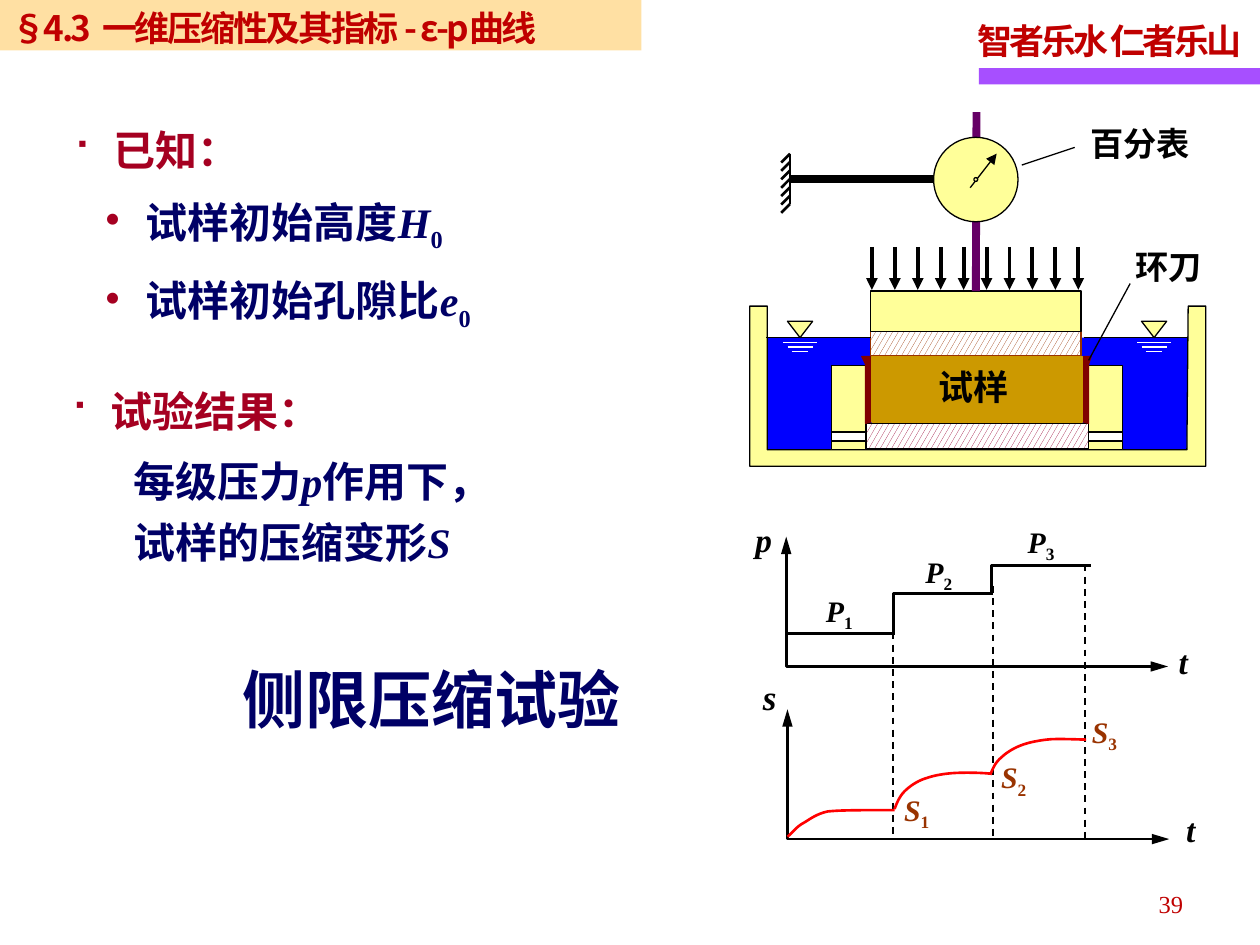
from dataclasses import dataclass
from typing import Optional

import pptx
import pptx.util
from lxml import etree
from pptx.dml.color import RGBColor
from pptx.enum.dml import MSO_LINE, MSO_PATTERN
from pptx.enum.shapes import MSO_CONNECTOR, MSO_SHAPE
from pptx.enum.text import MSO_ANCHOR, MSO_AUTO_SIZE, PP_ALIGN
from pptx.oxml.ns import qn

SERIF, SANS = "Times New Roman", "Noto Sans CJK SC"
BLACK, WHITE = RGBColor(0, 0, 0), RGBColor(255, 255, 255)
RED, PURPLE = RGBColor(0xC0, 0, 0), RGBColor(0xA7, 0x4F, 0xFF)
NAVY, CRIMSON = RGBColor(0, 0, 0x66), RGBColor(0xA5, 0, 0x21)
CREAM, WATER = RGBColor(0xFF, 0xFF, 0x99), RGBColor(0, 0, 0xFF)
SOIL, MAROON = RGBColor(0xCC, 0x99, 0), RGBColor(0x80, 0, 0)
BROWN, ROSE = RGBColor(0x99, 0x33, 0), RGBColor(0x99, 0, 0x33)
PLUM, CURVE_RED = RGBColor(0x66, 0, 0x66), RGBColor(255, 0, 0)
SAND = RGBColor(0xFF, 0xCC, 0x66)

# The slide is a grid of 100 columns by 75 rows
deck = pptx.Presentation()
deck.slide_width, deck.slide_height = pptx.util.Inches(10), pptx.util.Inches(7.5)
CELL = deck.slide_width / 100


@dataclass
class Run:
    text: str
    italic: bool = False
    subscript: bool = False
    spacing: float = 0


@dataclass
class Item:
    runs: list
    color: RGBColor = NAVY
    level: int = 1
    bullet: str = ""
    margin: float = 5
    hanging: float = 0


def grid(*cells: float) -> list:
    return [round(c * CELL) for c in cells]


def paint(shape, fill: Optional[RGBColor], line: Optional[RGBColor], width: float = 0.75) -> None:
    shape.shadow.inherit = False
    if fill is None:
        shape.fill.background()
    else:
        shape.fill.solid()
        shape.fill.fore_color.rgb = fill
    if line is None:
        shape.line.fill.background()
    else:
        shape.line.color.rgb, shape.line.width = line, pptx.util.Pt(width)


def add_ends(shape, *ends: str, length: str = "med") -> None:
    for end in ends:
        etree.SubElement(shape._element.spPr.find(qn("a:ln")), qn(f"a:{end}"),
                         type="triangle", len=length)


def block(shapes, box: tuple, fill, line=BLACK, kind=MSO_SHAPE.RECTANGLE):
    shape = shapes.add_shape(kind, *grid(*box))
    paint(shape, fill, line)
    return shape


def hatch(shapes, box: tuple, color: RGBColor, line: RGBColor) -> None:
    shape = block(shapes, box, WHITE, line)
    shape.fill.patterned()
    shape.fill.pattern = MSO_PATTERN.LARGE_CONFETTI
    shape.fill.fore_color.rgb, shape.fill.back_color.rgb = color, WHITE


def line(shapes, ends: tuple, color=BLACK, width: float = 0.75, arrow=False, dashed=False):
    connector = shapes.add_connector(MSO_CONNECTOR.STRAIGHT, *grid(*ends))
    connector.line.color.rgb, connector.line.width = color, pptx.util.Pt(width)
    if dashed:
        connector.line.dash_style = MSO_LINE.DASH
    if arrow:
        add_ends(connector, "tailEnd")
    etree.SubElement(connector._element.spPr, qn("a:effectLst"))
    return connector


def outline(shapes, points: list, fill=None, color=BLACK, width: float = 1.5):
    start, *rest = [tuple(grid(*p)) for p in points]
    builder = shapes.build_freeform(*start)
    builder.add_line_segments(rest, close=fill is not None)
    shape = builder.convert_to_shape()
    paint(shape, fill, color, width)
    return shape


def smooth_points(knots: list, steps: int = 8) -> list:
    """Sample a chain of cubic curves given as start, control, control, end, ..."""
    points = [knots[0]]
    for k in range(0, len(knots) - 1, 3):
        for t in (s / steps for s in range(1, steps + 1)):
            weights = ((1 - t) ** 3, 3 * t * (1 - t) ** 2, 3 * t * t * (1 - t), t ** 3)
            points.append(tuple(sum(w * p[axis] for w, p in zip(weights, knots[k:k + 4]))
                                for axis in (0, 1)))
    return points


def write(paragraph, runs: list, size: float, color: RGBColor, font=SERIF, bold=True) -> None:
    for part in runs:
        run = paragraph.add_run()
        run.text = part.text
        run.font.size, run.font.bold, run.font.italic = pptx.util.Pt(size), bold, part.italic
        run.font.color.rgb, run.font.name = color, font
        properties = run._r.get_or_add_rPr()
        etree.SubElement(properties, qn("a:ea"), typeface=SANS)
        if part.subscript:
            properties.set("baseline", "-25000")
        if part.spacing:
            properties.set("spc", str(round(part.spacing * 100)))


def label(shapes, box: tuple, runs: list, size: float, color=BLACK, bold=True):
    frame = shapes.add_textbox(*grid(*box)).text_frame
    frame.word_wrap, frame.vertical_anchor = True, MSO_ANCHOR.MIDDLE
    frame.margin_left, frame.margin_right = grid(0.85, 0)
    frame.margin_top = frame.margin_bottom = grid(0.4)[0]
    write(frame.paragraphs[0], runs, size, color, bold=bold)
    return frame


def bullet_list(shapes, box: tuple, items: list) -> None:
    frame = shapes.add_textbox(*grid(*box)).text_frame
    frame.word_wrap, frame.margin_right = True, grid(2.7)[0]
    for i, item in enumerate(items):
        paragraph = frame.add_paragraph() if i else frame.paragraphs[0]
        paragraph.level = item.level
        properties = paragraph._p.get_or_add_pPr()
        properties.set("marL", str(grid(item.margin)[0]))
        properties.set("indent", str(-grid(item.hanging)[0]))
        if item.bullet:
            tint = etree.SubElement(properties, qn("a:buClr"))
            etree.SubElement(tint, qn("a:srgbClr"), val=str(CRIMSON))
            if item.level == 0:
                etree.SubElement(properties, qn("a:buFont"), typeface="Wingdings", charset="2")
            etree.SubElement(properties, qn("a:buChar"), char=item.bullet)
        paragraph.line_spacing = 1.2
        if i:
            paragraph.space_before = pptx.util.Pt(5.6)
        write(paragraph, item.runs, 24, item.color)


# Title and page furniture
slide = deck.slides.add_slide(deck.slide_layouts[5])
page = slide.shapes
title = page.title
title.left, title.top, title.width, title.height = grid(16, 52.3, 36.5, 6.3)
heading = title.text_frame
heading.margin_left = heading.margin_right = heading.margin_top = heading.margin_bottom = 0
heading.vertical_anchor = MSO_ANCHOR.MIDDLE
heading.paragraphs[0].alignment = PP_ALIGN.CENTER
write(heading.paragraphs[0], [Run("侧限压缩试验")], 36, NAVY, SANS)
block(page, (77.7, 5.4, 22.3, 1.3), PURPLE, None)
motto = label(page, (76.7, 0.8, 23.6, 4.9), [Run("智者乐水 仁者乐山", spacing=-1.7)], 20, RED)
motto.word_wrap, motto.auto_size = False, MSO_AUTO_SIZE.SHAPE_TO_FIT_TEXT
number = label(page, (71.6, 69.7, 22.3, 4), [Run("39")], 14, RED, bold=False)
number.paragraphs[0].alignment = PP_ALIGN.RIGHT

# Oedometer: water tank, supports and porous stones
rig = page.add_group_shape().shapes
block(rig, (60.7, 26.8, 33.6, 9.1), WATER, None)
outline(rig, [(59.5, 24.3), (59.5, 37), (95.7, 37), (95.7, 24.3), (94.3, 24.3),
              (94.2, 35.7), (60.9, 35.7), (60.9, 24.3)], CREAM, width=0.75)
for left in (66, 86.4):
    block(rig, (left, 29, 2.7, 6.7), CREAM)
    block(rig, (left, 34.3, 2.7, 0.7), WHITE)
hatch(rig, (68.8, 33.6, 17.6, 2), ROSE, BLACK)
for inner, outer, lip in ((69.1, 68.7, 68.4), (86, 86.4, 86.6)):
    outline(rig, [(inner, 28.3), (inner, 33.5), (outer, 33.6), (outer, 28.9), (lip, 28.3)],
            MAROON, MAROON, 0.75)
block(rig, (69.2, 28.3, 16.7, 5.2), SOIL, SOIL)
hatch(rig, (69.1, 26.3, 16.7, 1.9), BROWN, BROWN)
plate = block(rig, (69.1, 23.1, 16.7, 3.2), CREAM)
for i in range(10):
    x = 69.2 + 1.82 * i
    line(rig, (x, 19.6, x, 23), width=2.25, arrow=True)

# Dial gauge and its wall mount
line(rig, (77.5, 8.9, 77.5, 23.1), PLUM, 4.5).end_connect(plate, 0)
block(rig, (74.1, 10.9, 6.7, 6.7), CREAM, kind=MSO_SHAPE.OVAL)
line(rig, (77, 14.9, 79.1, 12.2), arrow=True)
block(rig, (77.3, 14.1, 0.3, 0.3), CREAM, kind=MSO_SHAPE.OVAL)
line(rig, (74.1, 14.2, 62.8, 14.2), width=4.5)
line(rig, (62.7, 12.2, 62.7, 16.2), width=1.5)
for i in range(7):
    y = 12.2 + i * 4 / 6
    line(rig, (62.7, y, 62, y + 0.7), width=1.5)

# Water levels
for surface, mark in ((60.8, 62.5), (86, 90.6)):
    line(rig, (surface, 26.8, surface + 8.3, 26.8))
    block(rig, (mark, 25.5, 2, 1.3), CREAM, kind=MSO_SHAPE.FLOWCHART_MERGE)
    for i, half in enumerate((1.35, 1, 0.65)):
        y = 27.2 + 0.35 * i
        line(rig, (mark + 1 - half, y, mark + 1 + half, y), WHITE)
label(rig, (85.7, 9.4, 9.7, 4), [Run("百分表")], 19)
line(rig, (81.1, 13.1, 85.3, 11.7))
label(rig, (73.6, 28.6, 7.3, 4.2), [Run("试样")], 20)
label(rig, (89.3, 19.1, 7, 4), [Run("环刀")], 19)
line(rig, (86.4, 28.6, 89.7, 22.5))

# Load steps and settlement curves against time
graphs = page.add_group_shape().shapes
for x, top, bottom in ((70.9, 50.2, 66.5), (78.8, 46.5, 66.4), (86.1, 44.8, 66.7)):
    line(graphs, (x, top, x, bottom), width=1, dashed=True)
for x, top in ((62.4, 42.6), (62.5, 56.3)):
    axes = outline(graphs, [(x, top), (x, top + 10.3), (x + 30.3, top + 10.3)])
    add_ends(axes, "headEnd", "tailEnd", length="lg")
line(graphs, (62.4, 50.3, 71, 50.3), width=1.5)
for start, low, high, end in ((70.9, 50.2, 47.1, 78.8), (78.7, 47.1, 44.9, 86.6)):
    outline(graphs, [(start, low), (start, high), (end, high)])
SETTLEMENTS = [
    [(62.5, 66.4), (62.7, 66.3), (63.2, 65.6), (63.8, 65.3), (64.3, 65), (64.8, 64.6), (65.7, 64.4),
     (66.6, 64.3), (68.4, 64.3), (69.3, 64.3), (70.1, 64.3), (70.5, 64.3), (71, 64.3)],
    [(71, 64.2), (71.2, 63.7), (71.4, 63.2), (71.8, 62.8), (72.2, 62.4), (72.8, 62), (73.4, 61.8),
     (74, 61.6), (74.4, 61.5), (75.2, 61.4), (76.1, 61.3), (77.4, 61.3), (78.6, 61.4)],
    [(78.6, 61.5), (78.8, 61), (79, 60.5), (79.5, 60.1), (79.9, 59.7), (80.6, 59.3), (81.2, 59.1),
     (81.8, 58.9), (82.3, 58.8), (83.1, 58.7), (83.9, 58.6), (85.6, 58.7), (86.2, 58.7)],
]
for knots in SETTLEMENTS:
    outline(graphs, smooth_points(knots), color=CURVE_RED)
for symbol, color, corners in (("P", BLACK, ((64.7, 46.8), (72.6, 43.7), (80.7, 41.3))),
                               ("S", BROWN, ((70.9, 62.6), (78.6, 60), (85.8, 56.4)))):
    for step, corner in enumerate(corners, 1):
        label(graphs, (*corner, 4.5, 3.7),
              [Run(symbol, italic=True), Run(str(step), subscript=True)], 17, color)
for name, corner, width, size in (("p", (59.1, 40.8), 3.2, 19), ("t", (92.7, 50.5), 2.6, 19),
                                  ("s", (59.7, 53.3), 5.4, 20), ("t", (93.3, 63.8), 2.6, 19)):
    label(graphs, (*corner, width, 4), [Run(name, italic=True)], size)

# Given quantities and test result
bullet_list(page, (4.8, 8.6, 39.4, 17), [
    Item([Run("已知：")], CRIMSON, 0, "■", 3.2, 3.2),
    *[Item([Run(text), Run(symbol, italic=True), Run("0", subscript=True)], NAVY, 1, "•", 5.8, 3.2)
      for text, symbol in (("试样初始高度", "H"), ("试样初始孔隙比", "e"))]])
bullet_list(page, (4.6, 29.3, 36.1, 16.2), [
    Item([Run("试验结果：")], CRIMSON, 0, "■", 3.2, 3.2),
    Item([Run("每级压力"), Run("p", italic=True), Run("作用下，试样的压缩变形"), Run("S", italic=True)])])

# Section banner
banner = block(page, (-0.1, 0, 51, 4), SAND, None)
tone = banner._element.spPr.find(qn("a:solidFill"))[0]
etree.SubElement(tone, qn("a:alpha"), val="60000")
banner.text_frame.vertical_anchor = MSO_ANCHOR.MIDDLE
banner.text_frame.margin_top = grid(0.8)[0]
banner.text_frame.paragraphs[0].alignment = PP_ALIGN.LEFT
write(banner.text_frame.paragraphs[0], [
    Run("§4.3", spacing=-1.4), Run(" ", spacing=1.6),
    Run("一维压缩性及其指标 - ε-p曲线", spacing=-1.4)], 20, RED, SANS)

deck.save("out.pptx")
